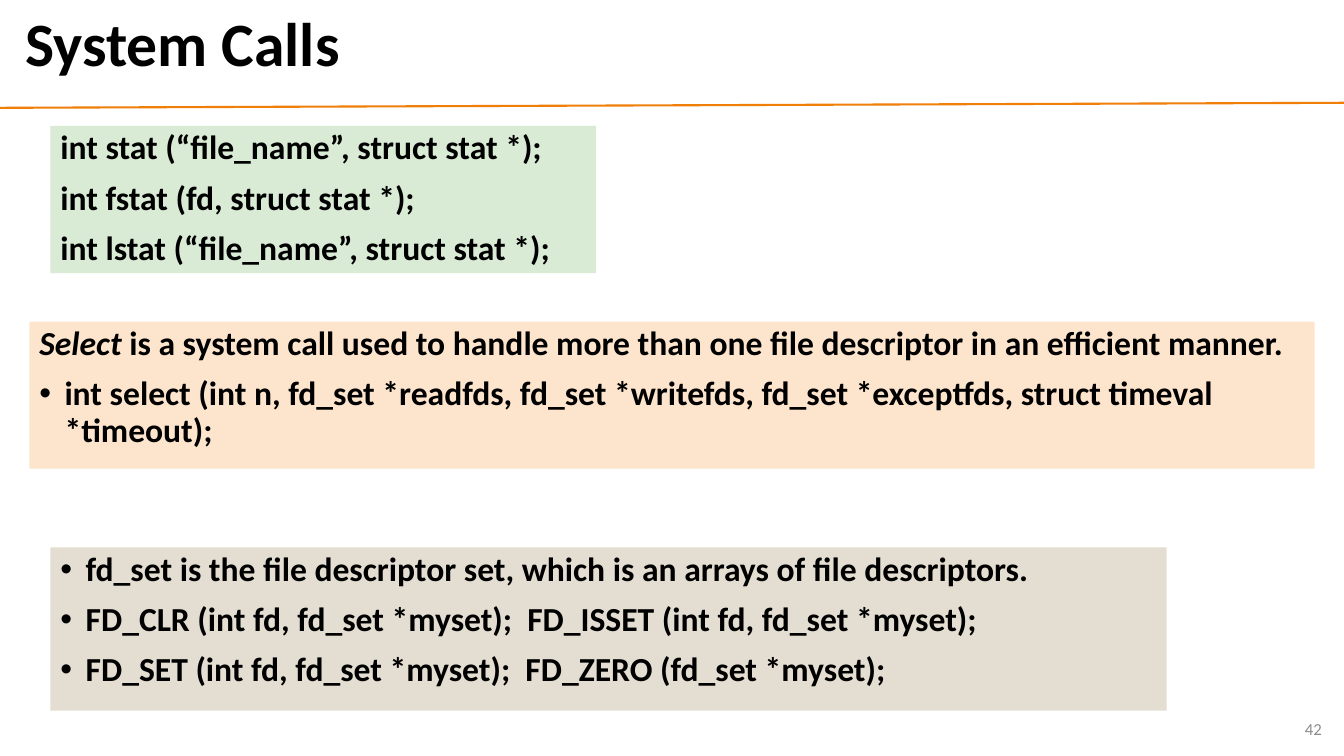
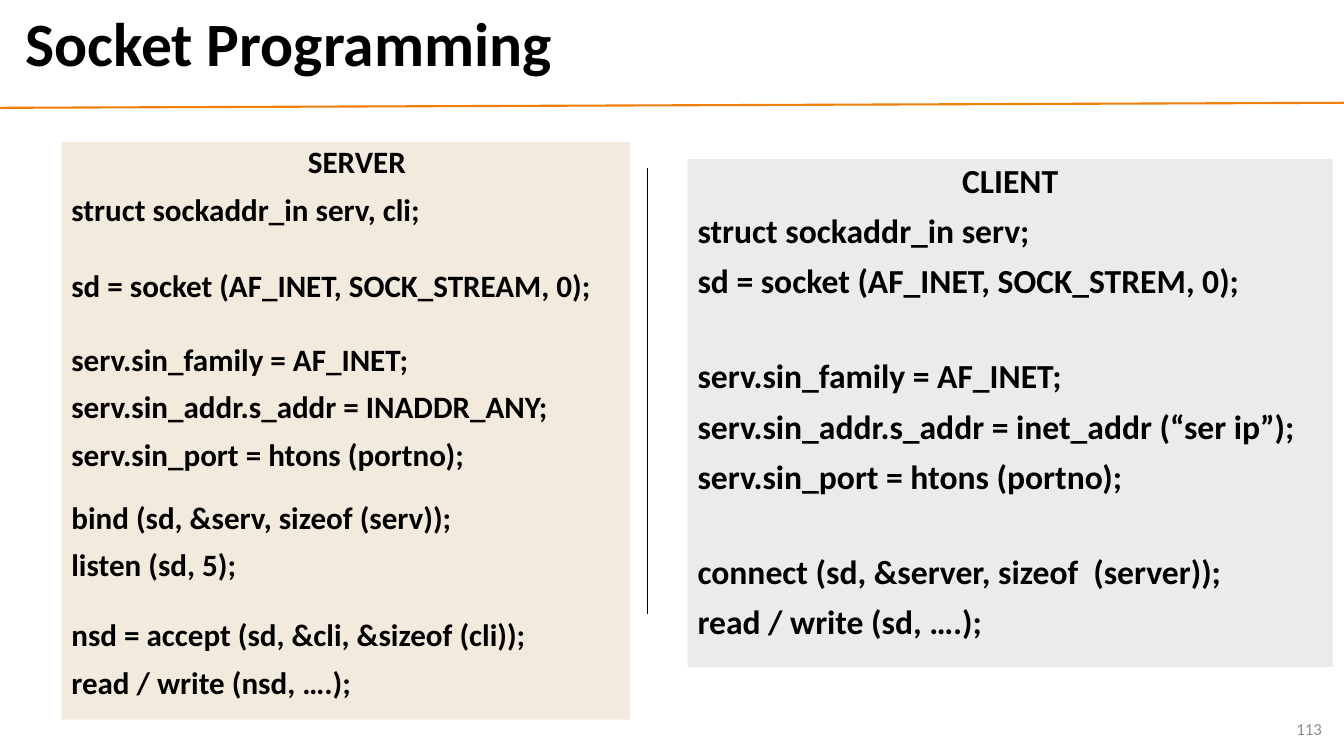
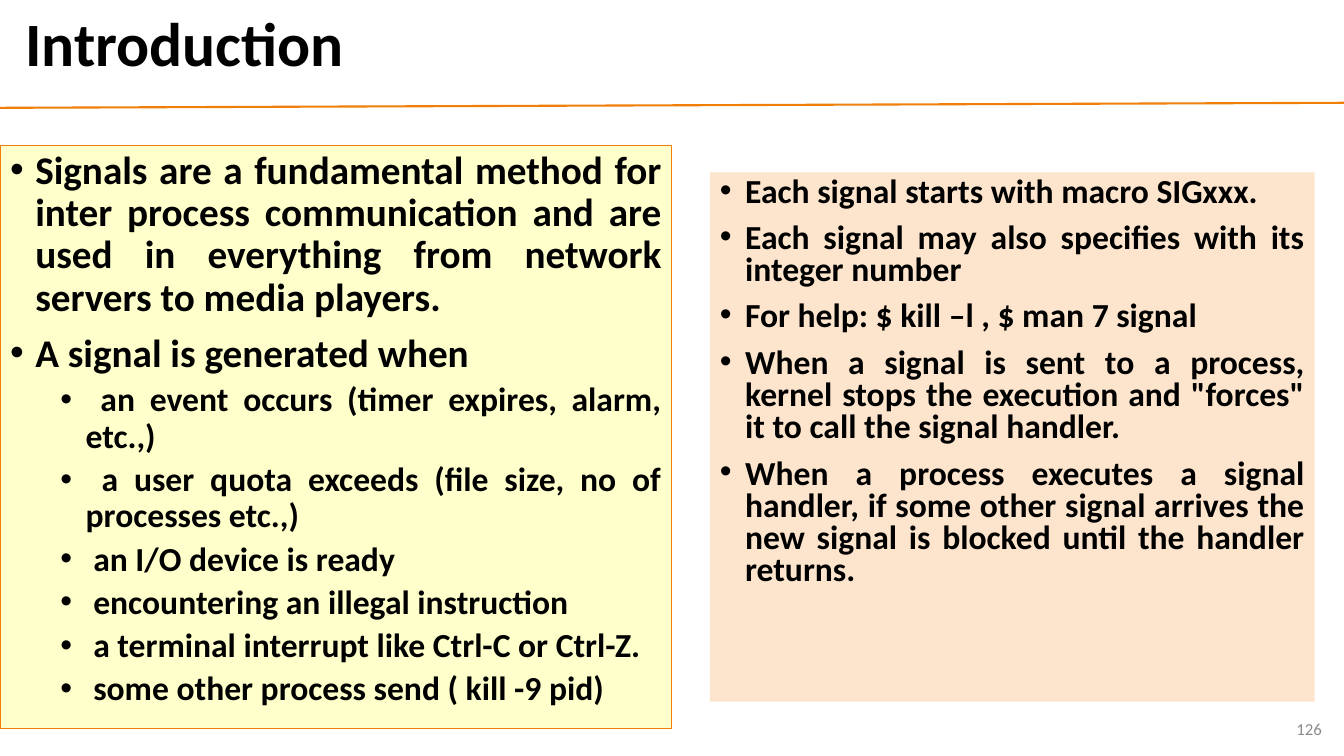
from dataclasses import dataclass

from lxml import etree
from pptx import Presentation
from pptx import util as u
from pptx.dml.color import RGBColor
from pptx.enum import shapes, text
from pptx.oxml import ns


@dataclass(frozen=True)
class Theme:
    font: str = "Calibri"
    ink: str = "000000"
    muted: str = "8C8C8C"
    accent: str = "F07F09"
    green: str = "D9EAD5"
    peach: str = "FDE5CD"
    stone: str = "E3DED1"
    sand: str = "F3EADE"
    grey: str = "EBEBEB"
    yellow: str = "FFFFCC"
    title_size: float = 44
    large_size: float = 28
    body_size: float = 24
    compact_size: float = 22.2
    number_size: float = 12


@dataclass
class Item:
    text: str
    before: float = 10
    level: int = 0
    bullet: bool = False
    align: text.PP_ALIGN = text.PP_ALIGN.LEFT
    margin: float = 0
    lead: str = ""


def bullets(lines, align=text.PP_ALIGN.LEFT):
    return [Item(line, bullet=True, align=align, margin=0.25) for line in lines]


def sub_bullets(lines, align):
    return [Item(line, 5, 1, True, align, 0.75) for line in lines]


def heading(label, margin=0.0):
    return Item(label, align=text.PP_ALIGN.CENTER, margin=margin)


class SlideBuilder:
    def __init__(self, deck, theme):
        self.deck = deck
        self.theme = theme
        self.slide = None
        self.bodies = []

    def new_slide(self, layout_name, title, number):
        layout = self.deck.slide_layouts.get_by_name(layout_name)
        self.slide = self.deck.slides.add_slide(layout)
        heading_box, *self.bodies = self.slide.placeholders
        self.line((0, 1.07), (13.33, 1.02), self.theme.accent, 1.5)
        self.place(heading_box, (0.15, 0.05, 12.89, 0.83))
        self.fill_label(heading_box, title, self.theme.title_size, True,
                        self.theme.ink, text.PP_ALIGN.LEFT, 0.9)
        number_box = self.text_box((10.21, 7.03, 3, 0.4))
        self.fill_label(number_box, str(number), self.theme.number_size, False,
                        self.theme.muted, text.PP_ALIGN.RIGHT, 1.0)

    def place(self, box, at):
        box.left, box.top, box.width, box.height = map(u.Inches, at)

    def text_box(self, at):
        return self.slide.shapes.add_textbox(*map(u.Inches, at))

    def style_font(self, font, size, bold, color):
        font.name = self.theme.font
        font.size = u.Pt(size)
        font.bold = bold
        font.color.rgb = RGBColor.from_string(color)

    def style_frame(self, frame, anchor):
        frame.word_wrap = True
        frame.auto_size = text.MSO_AUTO_SIZE.NONE
        frame.vertical_anchor = anchor

    def fill_label(self, box, label, size, bold, color, align, spacing):
        frame = box.text_frame
        self.style_frame(frame, text.MSO_ANCHOR.MIDDLE)
        para = frame.paragraphs[0]
        para.text = label
        para.alignment = align
        para.line_spacing = spacing
        self.style_font(para.font, size, bold, color)

    def line(self, start, end, color, width):
        ends = map(u.Inches, (*start, *end))
        connector = self.slide.shapes.add_connector(
            shapes.MSO_CONNECTOR.STRAIGHT, *ends)
        connector.line.color.rgb = RGBColor.from_string(color)
        connector.line.width = u.Pt(width)
        etree.SubElement(connector.element.spPr, ns.qn("a:effectLst"))

    def list_panel(self, at, fill, items, **style):
        box = self.bodies.pop(0)
        self.place(box, at)
        self.fill_panel(box, fill, items, **style)

    def code_panel(self, at, fill, items, **style):
        self.fill_panel(self.text_box(at), fill, items, **style)

    def fill_panel(self, box, fill, items, size=None, spacing=0.9, border=None):
        box.fill.solid()
        box.fill.fore_color.rgb = RGBColor.from_string(fill)
        if border:
            box.line.color.rgb = RGBColor.from_string(border)
            box.line.width = u.Pt(0.75)
        frame = box.text_frame
        self.style_frame(frame, text.MSO_ANCHOR.TOP)
        for index, item in enumerate(items):
            para = frame.add_paragraph() if index else frame.paragraphs[0]
            self.write_item(para, item, size or self.theme.body_size)
            para.line_spacing = spacing
            para.space_before = u.Pt(item.before if index else 0)

    def write_item(self, para, item, size):
        if item.lead:
            span = para.add_run()
            span.text = item.lead
            span.font.italic = True
        para.add_run().text = item.text
        para.level = item.level
        para.alignment = item.align
        properties = para._p.get_or_add_pPr()
        properties.set("marL", str(u.Inches(item.margin)))
        properties.set("indent", str(u.Inches(-0.25 if item.bullet else 0)))
        if item.bullet:
            etree.SubElement(properties, ns.qn("a:buFont"), typeface="Arial")
            etree.SubElement(properties, ns.qn("a:buChar"), char="•")
        else:
            etree.SubElement(properties, ns.qn("a:buNone"))
        self.style_font(para.font, self.theme.body_size if item.level else size,
                        True, self.theme.ink)


def system_calls(builder, theme):
    builder.new_slide("Two Content", "System Calls", 42)
    builder.code_panel((0.5, 1.25, 5.41, 1.46), theme.green, [
        Item("int stat (“file_name”, struct stat *);"),
        Item("int fstat (fd, struct stat *);"),
        Item("int lstat (“file_name”, struct stat *);"),
    ])
    builder.list_panel((0.29, 3.19, 12.75, 1.46), theme.peach, [
        Item("is a system call used to handle more than one file descriptor "
             "in an efficient manner.", lead="Select "),
        *bullets(["int select (int n, fd_set *readfds, fd_set *writefds, "
                  "fd_set *exceptfds, struct timeval *timeout);"]),
    ])
    builder.list_panel((0.5, 5.43, 11.07, 1.62), theme.stone, bullets([
        "fd_set is the file descriptor set, which is an arrays of file descriptors.",
        "FD_CLR (int fd, fd_set *myset);  FD_ISSET (int fd, fd_set *myset);",
        "FD_SET (int fd, fd_set *myset);  FD_ZERO (fd_set *myset);",
    ]))


def socket_programming(builder, theme):
    builder.new_slide("Title Only", "Socket Programming", 113)
    builder.code_panel((0.61, 1.41, 5.64, 5.73), theme.sand, [
        heading("SERVER", margin=0.22),
        Item("struct sockaddr_in serv, cli;"),
        Item("sd = socket (AF_INET, SOCK_STREAM, 0);", before=30),
        Item("serv.sin_family = AF_INET;", before=29),
        Item("serv.sin_addr.s_addr = INADDR_ANY;"),
        Item("serv.sin_port = htons (portno);"),
        Item("bind (sd, &serv, sizeof (serv));", before=21),
        Item("listen (sd, 5);"),
        Item("nsd = accept (sd, &cli, &sizeof (cli));", before=26),
        Item("read / write (nsd, ….);"),
    ], size=theme.compact_size)
    builder.code_panel((6.82, 1.58, 6.4, 5.04), theme.grey, [
        heading("CLIENT"),
        Item("struct sockaddr_in serv;"),
        Item("sd = socket (AF_INET, SOCK_STREM, 0);"),
        Item("serv.sin_family = AF_INET;", before=42),
        Item("serv.sin_addr.s_addr = inet_addr (“ser ip”);"),
        Item("serv.sin_port = htons (portno);"),
        Item("connect (sd, &server, sizeof  (server));", before=42),
        Item("read / write (sd, ….);"),
    ])
    builder.line((6.42, 1.67), (6.42, 6.09), theme.ink, 0.75)


def introduction(builder, theme):
    justify = text.PP_ALIGN.JUSTIFY
    builder.new_slide("Two Content", "Introduction", 126)
    builder.list_panel((0, 1.44, 6.66, 5.79), theme.yellow, [
        *bullets([
            "Signals are a fundamental method for inter process communication "
            "and are used in everything from network servers to media players.",
            "A signal is generated when",
        ], justify),
        *sub_bullets([
            " an event occurs (timer expires, alarm, etc.,)",
            " a user quota exceeds (file size, no of processes etc.,)",
            " an I/O device is ready",
            " encountering an illegal instruction",
            " a terminal interrupt like Ctrl-C or Ctrl-Z.",
            " some other process send ( kill -9 pid)",
        ], justify),
    ], size=theme.large_size, border=theme.accent)
    builder.list_panel((7.04, 1.71, 6, 5.25), theme.peach, bullets([
        "Each signal starts with macro SIGxxx.",
        "Each signal may also specifies with its integer number",
        "For help: $ kill –l , $ man 7 signal",
        "When a signal is sent to a process, kernel stops the execution and "
        "\"forces\" it to call the signal handler.",
        "When a process executes a signal handler, if some other signal "
        "arrives the new signal is blocked until the handler returns.",
    ], justify), spacing=0.8)


def main():
    deck = Presentation()
    deck.slide_width = u.Inches(13.33)
    deck.slide_height = u.Inches(7.5)
    theme = Theme()
    builder = SlideBuilder(deck, theme)
    for build in (system_calls, socket_programming, introduction):
        build(builder, theme)
    deck.save("out.pptx")


if __name__ == "__main__":
    main()
